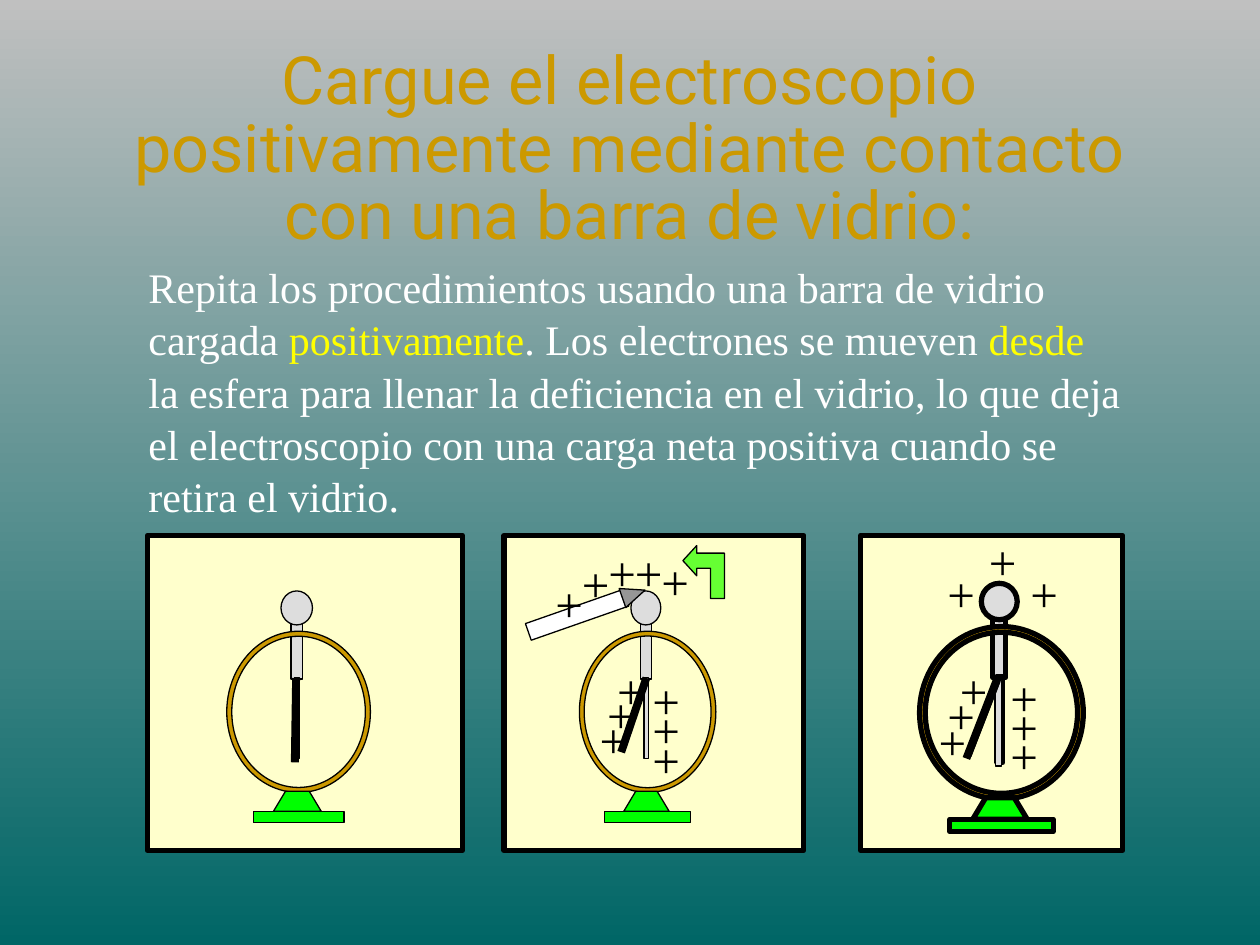
"""Build a slide on charging an electroscope positively by contact with a glass rod."""
from lxml import etree
from pptx import Presentation
from pptx import util as u
from pptx.dml.color import RGBColor
from pptx.enum import shapes, text
from pptx.oxml import ns

BLACK = RGBColor(0x00, 0x00, 0x00)
WHITE = RGBColor(0xFF, 0xFF, 0xFF)
YELLOW = RGBColor(0xFF, 0xFF, 0x00)
GOLD = RGBColor(0xCC, 0x99, 0x00)
CREAM = RGBColor(0xFF, 0xFF, 0xCC)
METAL = RGBColor(0xDD, 0xDD, 0xDD)
STEEL = RGBColor(0x96, 0x96, 0x96)
GREEN = RGBColor(0x00, 0xFF, 0x00)
LIME = RGBColor(0x66, 0xFF, 0x33)
SILVER = RGBColor(0xC0, 0xC0, 0xC0)
TEAL = RGBColor(0x00, 0x66, 0x66)
KIND = shapes.MSO_SHAPE

deck = Presentation()
deck.slide_width, deck.slide_height = u.Inches(10), u.Inches(7.5)
COL, ROW = deck.slide_width / 100, deck.slide_height / 75
slide = deck.slides.add_slide(deck.slide_layouts[5])


def draw(parent, kind, left, top, width, height, fill, weight=0.75):
    part = parent.add_shape(kind, int(left * COL), int(top * ROW), int(width * COL), int(height * ROW))
    part.shadow.inherit = False
    part.fill.solid()
    part.fill.fore_color.rgb = fill
    part.line.color.rgb = BLACK
    part.line.width = u.Pt(weight)
    return part


def write(parent, left, top, width, height, size, pieces):
    box = parent.add_textbox(int(left * COL), int(top * ROW), int(width * COL), int(height * ROW))
    box.text_frame.word_wrap = True
    box.text_frame.auto_size = text.MSO_AUTO_SIZE.SHAPE_TO_FIT_TEXT
    paragraph = box.text_frame.paragraphs[0]
    for words, color in pieces:
        run = paragraph.add_run()
        run.text = words
        run.font.name, run.font.size = "Times New Roman", u.Pt(size)
        run.font.color.rgb = color
    return paragraph


backdrop = slide.background.fill
backdrop.gradient()
backdrop.gradient_angle = 270
for stop, color in zip(backdrop.gradient_stops, (SILVER, TEAL)):
    stop.color.rgb = color

title = slide.shapes.title
title.left, title.top = int(7.5 * COL), int(5.8 * ROW)
title.width, title.height = int(85 * COL), int(12.5 * ROW)
title.text_frame.word_wrap = True
title.text_frame.auto_size = text.MSO_AUTO_SIZE.NONE
title.text_frame.vertical_anchor = text.MSO_ANCHOR.MIDDLE
heading = title.text_frame.paragraphs[0]
heading.alignment = text.PP_ALIGN.CENTER
heading.line_spacing = 0.85
heading_run = heading.add_run()
heading_run.text = "Cargue el electroscopio positivamente mediante contacto con una barra de vidrio:"
heading_run.font.name, heading_run.font.size = "Roboto", u.Pt(38)
heading_run.font.color.rgb = GOLD

ELECTROSCOPE = [
    (KIND.RECTANGLE, 11.4, 1.6, 0.9, 5.4, METAL, None),
    (KIND.OVAL, 10.6, 0, 2.5, 2.7, METAL, None),
    (KIND.DONUT, 6.3, 3.2, 11.4, 12.8, GOLD, 0.035),
    (KIND.RECTANGLE, 11.7, 6.9, 0.4, 6.4, METAL, None),
    (KIND.TRAPEZOID, 10, 15.9, 3.8, 1.6, GREEN, 0.6),
    (KIND.RECTANGLE, 8.4, 17.5, 7.2, 0.9, GREEN, None),
]
STAGES = [
    dict(frame=(11.7, 25), origin=(11.7, 46.9), scale=(1, 1), weight=0.75,
         leaves=[(23.5, 53.8, 23.4, 60.5, 4.5)], charges=[]),
    dict(frame=(40, 23.8), origin=(40, 46.9), scale=(0.95, 1), weight=0.75,
         leaves=[(51.3, 53.8, 49.3, 59.7, 4.5)],
         charges=[(48, 51.9, 3.5), (46.6, 55.8, 3.5), (47.2, 53.8, 4.7),
                  (43.1, 45, 4.7), (45.2, 43.4, 4.7), (47.3, 42.6, 4.7),
                  (49.4, 42.6, 4.7), (51.5, 43.3, 3.5),
                  (50.8, 52.7, 4.7), (50.8, 55, 4.7), (50.8, 57.4, 4.7)]),
    dict(frame=(68.3, 20.8), origin=(65.8, 46.3), scale=(1.14, 1.07), weight=3,
         leaves=[(79.3, 53.8, 76.9, 60, 3), (79.1, 54, 76.7, 60.2, 4.5)],
         charges=[(79.2, 52.5, 5.6), (79.2, 54.8, 5.6), (79.2, 57.1, 5.6),
                  (74.2, 44.2, 4.2), (77.5, 41.7, 4.2), (80.8, 44.2, 4.2),
                  (75.2, 51.9, 4.2), (73.5, 56, 4.2), (74.2, 53.9, 5.6)]),
]

for number, stage in enumerate(STAGES, 1):
    panel = slide.shapes.add_group_shape().shapes
    frame_left, frame_width = stage["frame"]
    draw(panel, KIND.RECTANGLE, frame_left, 42.5, frame_width, 25, CREAM, 3)
    (x0, y0), (sx, sy) = stage["origin"], stage["scale"]
    for kind, left, top, width, height, fill, adjustment in ELECTROSCOPE:
        part = draw(panel, kind, x0 + sx * left, y0 + sy * top, sx * width, sy * height,
                    fill, stage["weight"])
        if adjustment:
            part.adjustments[0] = adjustment
    if number == 2:
        draw(panel, KIND.RECTANGLE, 41.7, 48.1, 8.2, 1.4, WHITE).rotation = 340.7
        draw(panel, KIND.ISOSCELES_TRIANGLE, 49.5, 46.2, 1.6, 1.9, STEEL).rotation = 70.7
    if number == 3:
        draw(panel, KIND.RECTANGLE, 79, 54, 0.5, 6.8, METAL)
    for x1, y1, x2, y2, weight in stage["leaves"]:
        leaf = panel.add_connector(shapes.MSO_CONNECTOR.STRAIGHT, int(x1 * COL), int(y1 * ROW),
                                   int(x2 * COL), int(y2 * ROW))
        leaf.line.color.rgb = BLACK
        leaf.line.width = u.Pt(weight)
        etree.SubElement(leaf._element.spPr, ns.qn("a:effectLst"))
    for left, top, width in stage["charges"]:
        write(panel, left, top, width, 5.7, 28, [("+", BLACK)])

explanation = write(slide.shapes, 10.8, 20.1, 79.2, 21, 24, [
    ("Repita los procedimientos usando una barra de vidrio cargada ", WHITE),
    ("positivamente", YELLOW),
    (". Los electrones se mueven ", WHITE),
    ("desde", YELLOW),
    (" la esfera para llenar la deficiencia en el vidrio, lo que deja el electroscopio "
     "con una carga neta positiva cuando se retira el vidrio.", WHITE),
])
explanation.line_spacing = 1.04

TURN = [(54.2, 44.5), (55.3, 45.7), (55.3, 45.1), (56.4, 45.1), (56.4, 47.5),
        (57.5, 47.5), (57.5, 43.9), (55.3, 43.9), (55.3, 43.3)]
outline = slide.shapes.build_freeform(int(TURN[0][0] * COL), int(TURN[0][1] * ROW))
outline.add_line_segments([(int(x * COL), int(y * ROW)) for x, y in TURN[1:]], close=True)
turn = outline.convert_to_shape()
turn.shadow.inherit = False
turn.fill.solid()
turn.fill.fore_color.rgb = LIME
turn.line.color.rgb = BLACK
turn.line.width = u.Pt(0.75)

deck.save("out.pptx")
